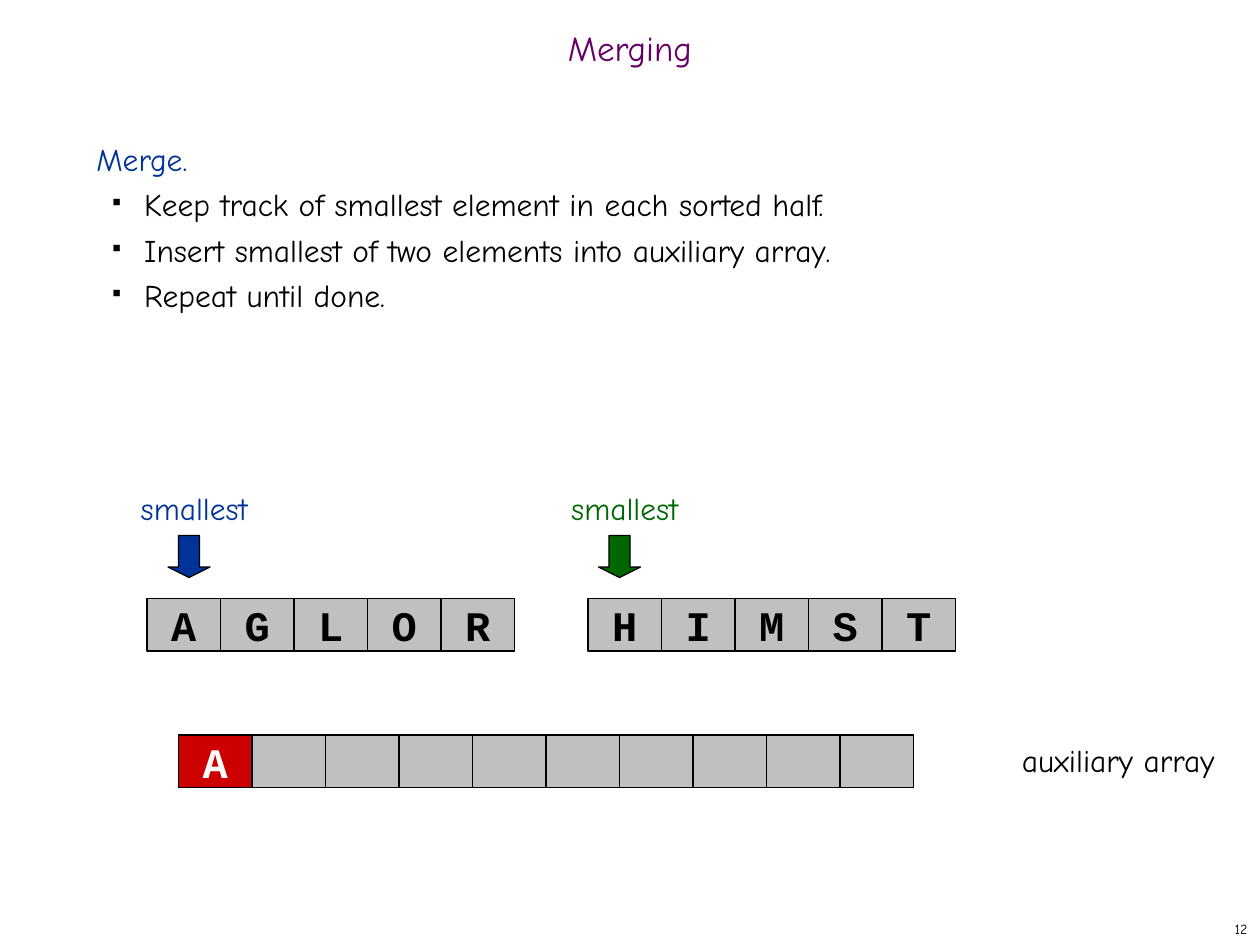
"""Build a slide showing the first step of merging two sorted halves."""
from lxml import etree
from pptx import Presentation
from pptx.dml.color import RGBColor
from pptx.enum.shapes import MSO_SHAPE
from pptx.enum.text import MSO_ANCHOR, PP_ALIGN
from pptx.oxml.ns import qn
from pptx.util import Inches, Pt

RECTANGLE, DOWN_ARROW = MSO_SHAPE.RECTANGLE, MSO_SHAPE.DOWN_ARROW
TOP, MIDDLE = MSO_ANCHOR.TOP, MSO_ANCHOR.MIDDLE
LEFT, CENTER, RIGHT = PP_ALIGN.LEFT, PP_ALIGN.CENTER, PP_ALIGN.RIGHT

BLACK = RGBColor(0x00, 0x00, 0x00)
WHITE = RGBColor(0xFF, 0xFF, 0xFF)
PURPLE = RGBColor(0x66, 0x00, 0x66)
BLUE = RGBColor(0x00, 0x33, 0x99)
GREEN = RGBColor(0x00, 0x66, 0x00)
RED = RGBColor(0xCC, 0x00, 0x00)
GRAY = RGBColor(0xC0, 0xC0, 0xC0)
ARROW_LINE = RGBColor(0x01, 0x00, 0x00)

BODY_FONT, CELL_FONT = "Comic Neue", "Courier New"
COLUMNS_PER_INCH = 12
CELL_COLUMNS, CELL_ROWS = 7, 5
HALVES_ROW, AUXILIARY_ROW = 57, 70
AUXILIARY_CELLS = 10
POINTS = [
    "Keep track of smallest element in each sorted half.",
    "Insert smallest of two elements into auxiliary array.",
    "Repeat until done.",
]


def grid(*counts):
    """Turn counts of grid columns or rows into lengths."""
    return [Inches(count / COLUMNS_PER_INCH) for count in counts]


def write(paragraph, text, size=18, color=BLACK, font=BODY_FONT, bold=False,
          align=LEFT, spacing=None, before=None):
    """Write formatted text into a paragraph."""
    run = paragraph.add_run()
    run.text = text
    run.font.size = Pt(size)
    run.font.name = font
    run.font.bold = bold
    run.font.color.rgb = color
    paragraph.alignment = align
    paragraph.line_spacing = spacing
    paragraph.space_before = before


def add_bullet(paragraph):
    """Give a paragraph a small square bullet with a hanging indent."""
    properties = paragraph._p.get_or_add_pPr()
    properties.set("marL", str(Inches(0.38)))
    properties.set("indent", str(Inches(-0.25)))
    color = etree.SubElement(properties, qn("a:buClr"))
    etree.SubElement(color, qn("a:srgbClr"), val=str(BLACK))
    etree.SubElement(properties, qn("a:buSzPct"), val="35000")
    etree.SubElement(properties, qn("a:buChar"), char="■")


def add_text_box(slide, area, anchor=TOP, wrap=True):
    """Add a text box on the grid and return its text frame."""
    frame = slide.shapes.add_textbox(*grid(*area)).text_frame
    frame.word_wrap = wrap
    frame.vertical_anchor = anchor
    return frame


def add_label(slide, area, text, anchor=TOP, wrap=True, **text_format):
    """Add a text box holding a single line."""
    frame = add_text_box(slide, area, anchor, wrap)
    write(frame.paragraphs[0], text, **text_format)


def add_filled_shape(shapes, kind, area, fill, line=BLACK):
    """Add a flat outlined shape on the grid."""
    shape = shapes.add_shape(kind, *grid(*area))
    shape.shadow.inherit = False
    shape.fill.solid()
    shape.fill.fore_color.rgb = fill
    shape.line.color.rgb = line
    shape.line.width = Pt(0.75)
    return shape


def add_cell(shapes, column, row, letter="", fill=GRAY, color=BLACK):
    """Add one array cell with an optional letter."""
    area = (column, row, CELL_COLUMNS, CELL_ROWS)
    frame = add_filled_shape(shapes, RECTANGLE, area, fill).text_frame
    if letter:
        frame.word_wrap = False
        frame.vertical_anchor = MIDDLE
        write(frame.paragraphs[0], letter, size=24, color=color,
              font=CELL_FONT, bold=True, align=CENTER)


def add_half(slide, column, letters):
    """Add a sorted half as a group of cells."""
    shapes = slide.shapes.add_group_shape().shapes
    for index, letter in enumerate(letters):
        add_cell(shapes, column + index * CELL_COLUMNS, HALVES_ROW, letter)


def add_pointer(slide, column, color):
    """Add the label and arrow that mark the smallest element."""
    add_label(slide, (column, 46, 25, 4.8), "smallest", color=color,
              align=CENTER, before=Pt(11.2))
    arrow = add_filled_shape(slide.shapes, DOWN_ARROW,
                             (column + 10, 51, 4, 4), color, ARROW_LINE)
    arrow.adjustments[0] = 0.5
    arrow.adjustments[1] = 0.25


def add_auxiliary_array(slide, column):
    """Add the auxiliary array with its first cell filled in."""
    add_cell(slide.shapes, column, AUXILIARY_ROW, "A", RED, WHITE)
    for index in range(1, AUXILIARY_CELLS):
        add_cell(slide.shapes, column + index * CELL_COLUMNS, AUXILIARY_ROW)
    add_label(slide, (95, AUXILIARY_ROW, 23, 4.8), "auxiliary array",
              align=CENTER, before=Pt(11.2))


def add_body(slide):
    """Add the heading and its bulleted points."""
    frame = add_text_box(slide, (8, 12, 103, 71))
    write(frame.paragraphs[0], "Merge.", color=BLUE, spacing=Pt(26))
    for point in POINTS:
        paragraph = frame.add_paragraph()
        write(paragraph, point, spacing=Pt(26))
        add_bullet(paragraph)


def main():
    """Build and save the presentation."""
    presentation = Presentation()
    presentation.slide_width, presentation.slide_height = grid(120, 90)
    slide = presentation.slides.add_slide(presentation.slide_layouts[6])
    add_label(slide, (0, 2, 120, 6), "Merging", anchor=MIDDLE, size=20,
              color=PURPLE, align=CENTER, spacing=0.7)
    add_body(slide)
    add_pointer(slide, 6, BLUE)
    add_pointer(slide, 47, GREEN)
    add_half(slide, 14, "AGLOR")
    add_half(slide, 56, "HIMST")
    add_auxiliary_array(slide, 17)
    add_label(slide, (95, 87, 25, 3), "12", anchor=MIDDLE, wrap=False,
              size=8, align=RIGHT)
    presentation.save("out.pptx")


if __name__ == "__main__":
    main()
